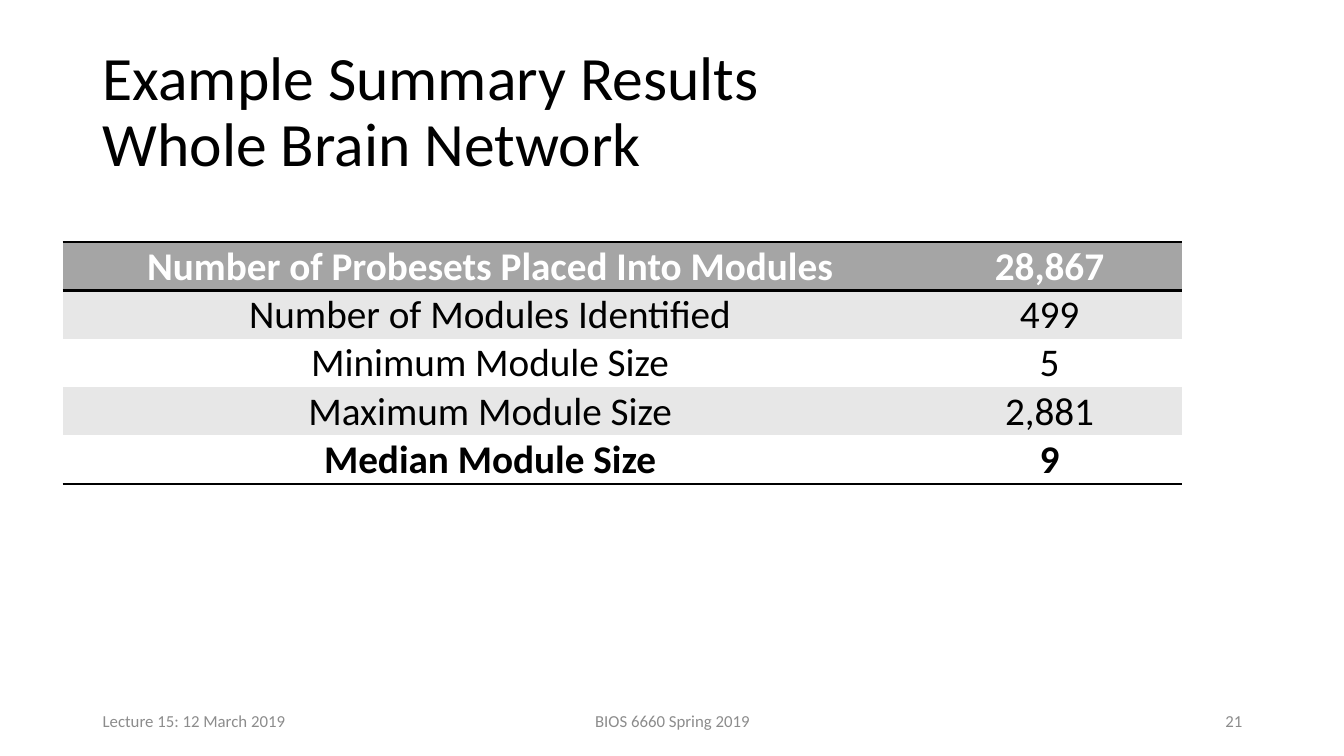
from pptx import Presentation
from pptx.dml.color import RGBColor as RGB
from pptx.enum.text import MSO_ANCHOR as Anchor, PP_ALIGN as Align
from pptx.oxml import parse_xml
from pptx.oxml.ns import nsdecls, qn
from pptx.util import Inches, Pt

COLORS = {"ink": "000000", "head": "A5A5A5", "band": "E7E7E7",
          "paper": "FFFFFF", "note": "8C8C8C"}
PLAIN = "{2D5ABB26-0587-4C30-8999-92F81FD0307C}"
ROWS = [
    ("Number of Probesets Placed Into Modules", "28,867"),
    ("Number of Modules Identified", "499"),
    ("Minimum Module Size", "5"),
    ("Maximum Module Size", "2,881"),
    ("Median Module Size", "9"),
]
FOOT = [
    ("Lecture 15: 12 March 2019", 0.92, 3, Align.LEFT),
    ("BIOS 6660 Spring 2019", 4.42, 4.5, Align.CENTER),
    ("21", 9.42, 3, Align.RIGHT),
]


class Deck:
    """Hold the style and the current slide, and add elements to it."""

    def __init__(self):
        self.prs = Presentation()
        self.prs.slide_width = Inches(13.33)
        self.prs.slide_height = Inches(7.5)
        self.slide = self.prs.slides.add_slide(self.prs.slide_layouts[6])
        self.font = "Calibri"

    def label(self, frame, text, size, color="ink", bold=False,
              align=Align.LEFT, lead=1.0):
        para = frame.paragraphs[0]
        para.text = text
        para.alignment = align
        para.line_spacing = lead
        look = {"name": self.font, "size": Pt(size), "bold": bold}
        for run in para.runs:
            for key, value in look.items():
                setattr(run.font, key, value)
            run.font.color.rgb = RGB.from_string(COLORS[color])

    def text(self, text, box, size, **look):
        frame = self.slide.shapes.add_textbox(*map(Inches, box)).text_frame
        frame.word_wrap = True
        frame.vertical_anchor = Anchor.MIDDLE
        self.label(frame, text, size, **look)

    def rule(self, cell, side):
        line = parse_xml(
            f'<a:ln{side} {nsdecls("a")} w="{Pt(2)}"><a:solidFill>'
            f'<a:srgbClr val="{COLORS["ink"]}"/></a:solidFill></a:ln{side}>')
        cell._tc.get_or_add_tcPr().insert(0, line)

    def table(self, rows, left, top, widths, height):
        size = (sum(widths), height * len(rows))
        table = self.slide.shapes.add_table(
            len(rows), len(widths), *map(Inches, (left, top, *size))).table
        table.first_row = table.horz_banding = False
        table._tbl.tblPr.find(qn("a:tableStyleId")).text = PLAIN
        for col, width in zip(table.columns, widths):
            col.width = Inches(width)
        pad = {"margin_left": Inches(0.01), "margin_right": Inches(0.01),
               "margin_top": Inches(0.01), "margin_bottom": 0,
               "vertical_anchor": Anchor.MIDDLE}
        last = len(rows) - 1
        for i, row in enumerate(rows):
            table.rows[i].height = Inches(height)
            fill = "head" if i == 0 else "band" if i % 2 else "paper"
            for j, text in enumerate(row):
                cell = table.cell(i, j)
                for key, value in pad.items():
                    setattr(cell, key, value)
                cell.fill.solid()
                cell.fill.fore_color.rgb = RGB.from_string(COLORS[fill])
                self.label(cell.text_frame, text, 28,
                           color="ink" if i else "paper",
                           bold=i in (0, last), align=Align.CENTER)
                if i in (0, last):
                    self.rule(cell, "B")
                if i == 0:
                    self.rule(cell, "T")


def main():
    deck = Deck()
    deck.text("Example Summary Results\vWhole Brain Network",
              (0.92, 0.4, 11.5, 1.45), 44, lead=0.9)
    deck.table(ROWS, 0.62, 2.4, (8.48, 2.62), 0.48)
    for text, left, width, align in FOOT:
        deck.text(text, (left, 6.95, width, 0.4), 12,
                  color="note", align=align)
    deck.prs.save("out.pptx")


if __name__ == "__main__":
    main()
